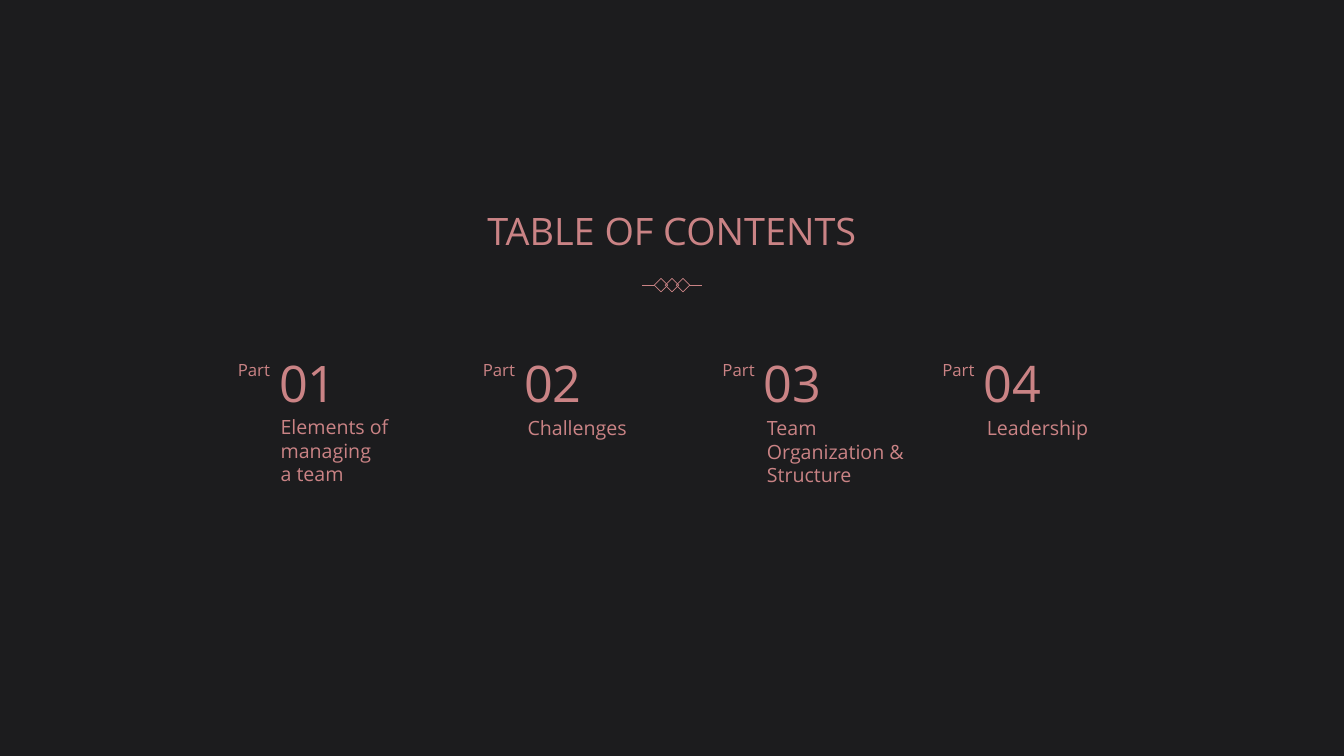
from lxml.etree import SubElement
from pptx import Presentation
from pptx.dml.color import RGBColor
from pptx.enum.shapes import MSO_CONNECTOR, MSO_SHAPE
from pptx.enum.text import MSO_AUTO_SIZE, PP_ALIGN
from pptx.oxml.ns import qn
from pptx.util import Pt

WIDTH, HEIGHT = 1920, 1080
BACKGROUND = "1C1C1E"
ROSE = "CA8385"
FONT = "Open Sans"

# left edge, number, title, title's offset from the left edge, top and width
PARTS = [
    (332.6, "01", "Elements of\nmanaging\na team", 61.2, 589.7, 183),
    (682.6, "02", "Challenges", 64, 591, 163),
    (1025, "03", "Team\nOrganization &\nStructure", 63.6, 591, 219),
    (1339, "04", "Leadership", 63.6, 591, 166),
]


def color(hex_string):
    return RGBColor.from_string(hex_string)


def add_text(s, text, x, y, w, h, size, align=PP_ALIGN.LEFT):
    tf = s.shapes.add_textbox(Pt(x), Pt(y), Pt(w), Pt(h)).text_frame
    tf.word_wrap = False
    tf.auto_size = MSO_AUTO_SIZE.SHAPE_TO_FIT_TEXT
    tf.text = text
    for p in tf.paragraphs:
        p.alignment = align
        for r in p.runs:
            r.font.name = FONT
            r.font.size = Pt(size)
            r.font.color.rgb = color(ROSE)


def style_line(shape):
    shape.line.color.rgb = color(ROSE)
    shape.line.width = Pt(1)


def add_diamond(group, cx, cy, side):
    """Add an outlined square turned onto its corner."""
    sp = group.shapes.add_shape(MSO_SHAPE.RECTANGLE, Pt(cx - side / 2),
                                Pt(cy - side / 2), Pt(side), Pt(side))
    sp.rotation = 45
    sp.shadow.inherit = False
    sp.fill.background()
    style_line(sp)


def add_rule(group, x1, x2, y):
    line = group.shapes.add_connector(MSO_CONNECTOR.STRAIGHT,
                                      Pt(x1), Pt(y), Pt(x2), Pt(y))
    style_line(line)
    SubElement(line._element.spPr, qn("a:effectLst"))


def add_ornament(s, cx, cy):
    """Add three linked diamonds between two short rules."""
    group = s.shapes.add_group_shape()
    for step in (-1, 0, 1):
        add_diamond(group, cx + step * 15.8, cy, 13.7)
    add_rule(group, cx + 25, cx + 43, cy)
    add_rule(group, cx - 43, cx - 25, cy)


def add_part(s, x, number, title, title_dx, title_y, title_width):
    title_height = 41 + 33.9 * title.count("\n")
    add_text(s, number, x + 55.7, 499, 100, 94.3, 72, PP_ALIGN.RIGHT)
    add_text(s, title, x + title_dx, title_y, title_width, title_height, 28)
    add_text(s, "Part", x, 509.8, 63.4, 36, 24)


def main():
    prs = Presentation()
    prs.slide_width, prs.slide_height = Pt(WIDTH), Pt(HEIGHT)
    s = prs.slides.add_slide(prs.slide_layouts[6])
    s.background.fill.solid()
    s.background.fill.fore_color.rgb = color(BACKGROUND)

    add_text(s, "TABLE OF CONTENTS", WIDTH / 2 - 288, 293, 576, 72.7, 54,
             PP_ALIGN.CENTER)
    add_ornament(s, WIDTH / 2, 407.4)
    for part in PARTS:
        add_part(s, *part)

    prs.save("out.pptx")


if __name__ == "__main__":
    main()
